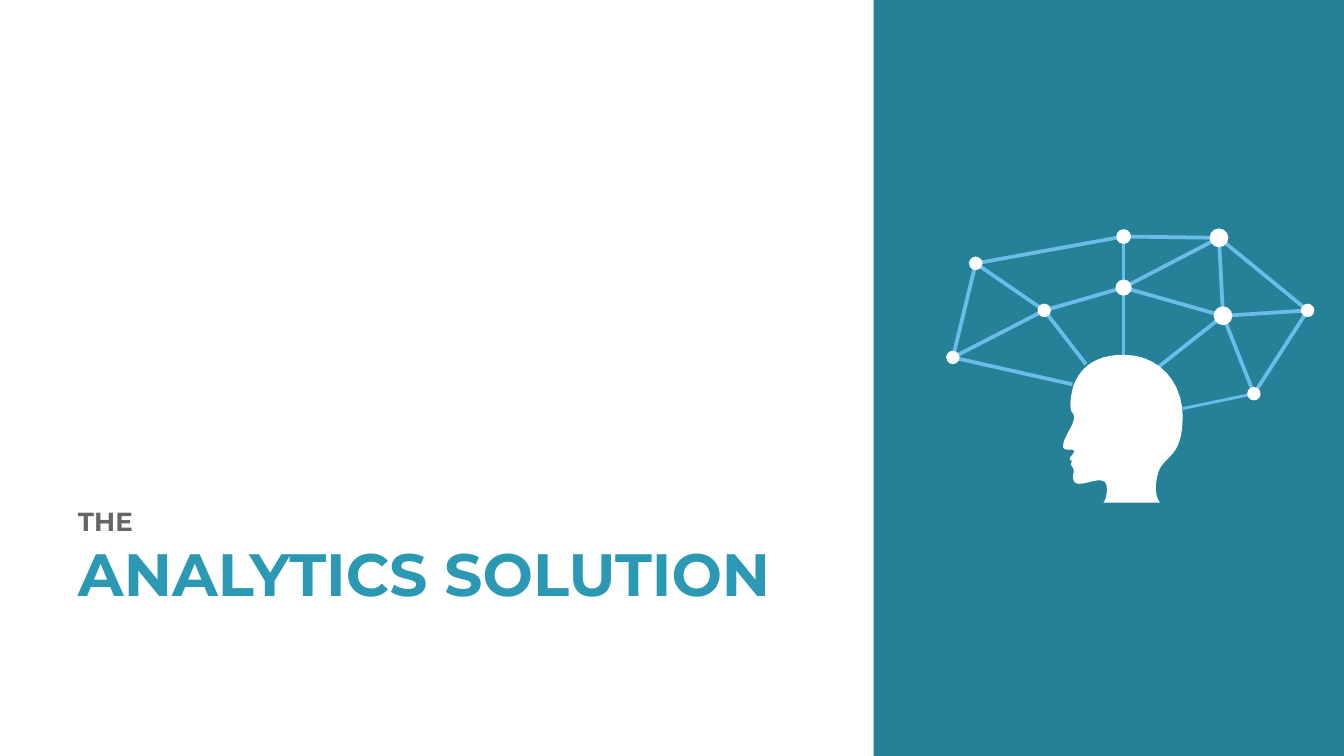
"""Build the section slide with a title and a head linked to a network of ideas."""
from copy import deepcopy

from lxml import etree
from pptx import Presentation
from pptx.dml.color import RGBColor
from pptx.enum.shapes import MSO_CONNECTOR, MSO_SHAPE
from pptx.enum.text import MSO_ANCHOR, MSO_AUTO_SIZE, PP_ALIGN
from pptx.oxml.ns import qn
from pptx.util import Inches, Pt

THEME = {
    "font": "Montserrat",
    "kicker": (14, "666666"),
    "headline": (32, "2C99B4"),
    "panel": "258198",
    "link": "6BBBEB",
    "figure": "FFFFFF",
    "link_width": 2,
    "thin_link_width": 1.5,
}
SLIDE_WIDTH = Inches(10)
SLIDE_HEIGHT = SLIDE_WIDTH * 9 // 16
TITLE = [("THE", "kicker"), ("ANALYTICS SOLUTION", "headline")]
TITLE_BOX = (0.54, 3.74, 5.31, 1.05)
PANEL_LEFT = Inches(6.5)

NODES = {
    "hub": (8.36, 2.14, 0.12),
    "inner right": (9.1, 2.35, 0.14),
    "top right": (9.07, 1.77, 0.14),
    "far right": (9.73, 2.31, 0.1),
    "inner left": (7.77, 2.31, 0.1),
    "top": (8.36, 1.76, 0.11),
    "far left": (7.09, 2.66, 0.1),
    "low right": (9.33, 2.93, 0.1),
    "top left": (7.26, 1.96, 0.1),
}
NODE_LINKS = [
    ("low right", "far right"), ("low right", "inner right"),
    ("inner right", "far right"), ("inner right", "top right"),
    ("top right", "far right"), ("top", "top right"),
    ("hub", "top right"), ("inner left", "hub"), ("top left", "top"),
    ("top", "hub"), ("top left", "inner left"),
    ("far left", "inner left"), ("far left", "top left"),
    ("hub", "inner right"),
]
HEAD_LINKS = [
    ("low right", (8.8, 3.04), "thin_link_width"),
    ("inner right", (8.62, 2.73), "link_width"),
    ("hub", (8.36, 2.66), "link_width"),
    ("inner left", (8.08, 2.71), "link_width"),
    ("far left", (7.98, 2.86), "link_width"),
]
HEAD_START = (8.36, 2.64)
HEAD_CURVES = [
    ((8.18, 2.64), (8.06, 2.71), (8, 2.84)),
    ((7.97, 2.9), (7.95, 3.05), (7.98, 3.07)),
    ((8.03, 3.13), (7.91, 3.24), (7.91, 3.32)),
    ((7.91, 3.36), (7.97, 3.34), (7.99, 3.35)),
    ((8, 3.37), (7.96, 3.4), (7.96, 3.41)),
    ((7.96, 3.43), (7.98, 3.43), (7.99, 3.43)),
    ((7.99, 3.43), (7.97, 3.43), (7.97, 3.45)),
    ((7.97, 3.48), (7.99, 3.47), (7.99, 3.51)),
    ((7.98, 3.55), (7.98, 3.6), (8.03, 3.6)),
    ((8.09, 3.6), (8.16, 3.56), (8.21, 3.58)),
    ((8.25, 3.59), (8.24, 3.71), (8.21, 3.74)),
    ((8.35, 3.74), (8.49, 3.74), (8.63, 3.74)),
    ((8.63, 3.74), (8.57, 3.67), (8.62, 3.51)),
    ((8.66, 3.39), (8.8, 3.41), (8.8, 3.1)),
    ((8.8, 2.85), (8.63, 2.64), (8.36, 2.64)),
]
CURVE_STEPS = 10


def inches(values):
    return [Inches(value) for value in values]


def paint(shape, color):
    shape.shadow.inherit = False
    shape.fill.solid()
    shape.fill.fore_color.rgb = RGBColor.from_string(THEME[color])
    shape.line.fill.background()


def add_title(slide):
    title = slide.shapes.title
    title.left, title.top, title.width, title.height = inches(TITLE_BOX)
    frame = title.text_frame
    frame.margin_left = frame.margin_right = Inches(0.04)
    frame.margin_top = frame.margin_bottom = Inches(0.02)
    frame.vertical_anchor = MSO_ANCHOR.TOP
    frame.auto_size = MSO_AUTO_SIZE.NONE
    frame.word_wrap = True
    frame.text = "\v".join(text for text, _ in TITLE)
    heading = frame.paragraphs[0]
    heading.alignment = PP_ALIGN.LEFT
    heading.line_spacing = 1.0
    for run, (_, style) in zip(heading.runs, TITLE):
        size, color = THEME[style]
        run.font.name, run.font.size, run.font.bold = THEME["font"], Pt(size), True
        run.font.color.rgb = RGBColor.from_string(color)
    kicker_format = heading.runs[0]._r.find(qn("a:rPr"))
    heading._p.find(qn("a:br")).insert(0, deepcopy(kicker_format))


def add_panel(slide):
    box = (PANEL_LEFT, 0, SLIDE_WIDTH - PANEL_LEFT, SLIDE_HEIGHT)
    paint(slide.shapes.add_shape(MSO_SHAPE.RECTANGLE, *box), "panel")


def add_link(slide, start, end, width):
    link = slide.shapes.add_connector(MSO_CONNECTOR.STRAIGHT, *inches(start + end))
    link.line.color.rgb = RGBColor.from_string(THEME["link"])
    link.line.width = Pt(THEME[width])
    etree.SubElement(link._element.spPr, qn("a:effectLst"))


def curve_points(start, curves):
    for first, second, end in curves:
        for step in range(1, CURVE_STEPS + 1):
            t = step / CURVE_STEPS
            u = 1 - t
            yield tuple(
                Inches(u**3 * a + 3 * u * u * t * b + 3 * u * t * t * c + t**3 * d)
                for a, b, c, d in zip(start, first, second, end)
            )
        start = end


def add_head(slide):
    outline = slide.shapes.build_freeform(*inches(HEAD_START))
    outline.add_line_segments(list(curve_points(HEAD_START, HEAD_CURVES)), close=True)
    paint(outline.convert_to_shape(), "figure")


def add_node(slide, x, y, size):
    box = inches((x - size / 2, y - size / 2, size, size))
    paint(slide.shapes.add_shape(MSO_SHAPE.OVAL, *box), "figure")


def main():
    deck = Presentation()
    deck.slide_width, deck.slide_height = SLIDE_WIDTH, SLIDE_HEIGHT
    slide = deck.slides.add_slide(deck.slide_layouts.get_by_name("Title Only"))
    add_title(slide)
    add_panel(slide)
    for start, end in NODE_LINKS:
        add_link(slide, NODES[start][:2], NODES[end][:2], "link_width")
    for node, contact, width in HEAD_LINKS:
        add_link(slide, NODES[node][:2], contact, width)
    add_head(slide)
    for node in NODES.values():
        add_node(slide, *node)
    deck.save("out.pptx")


if __name__ == "__main__":
    main()
